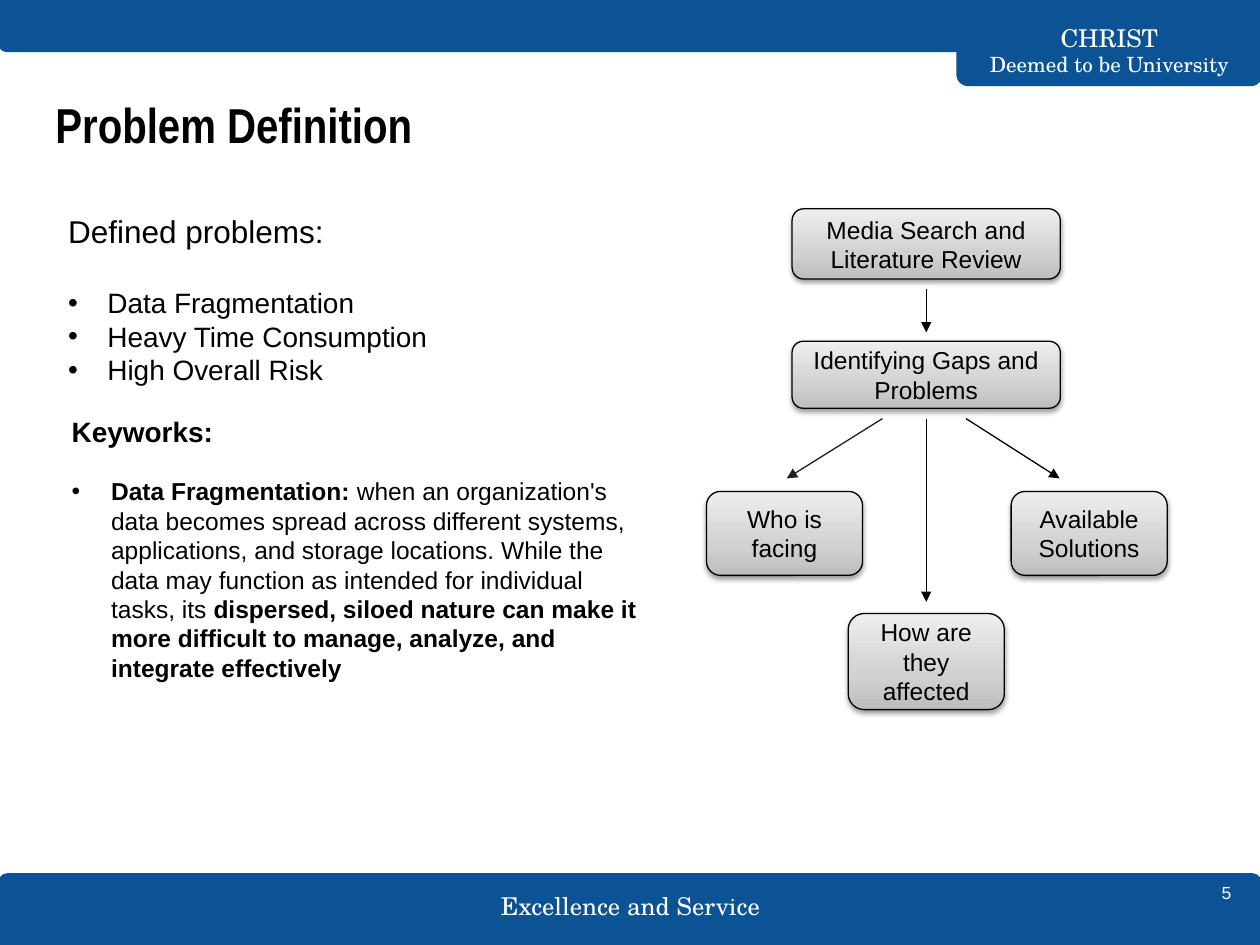
from lxml import etree
from pptx import Presentation
from pptx import util as u
from pptx.dml import color
from pptx.enum import shapes, text
from pptx.oxml import ns, parse_xml

Pt = u.Pt
COLORS = {"blue": "0B5394", "white": "FFFFFF", "black": "000000", "charcoal": "202020",
          "dark": "BDBDBD", "mid": "D1D1D1", "light": "EEEEEE"}
SANS, NARROW, SERIF = "Arial", "Arial Narrow", "TeX Gyre Schola"
BULLET_INDENT = 22.5

# Content: lengths in points, boxes as (left, top, width, height)
TITLE = "Problem Definition"
BARS = [((-0.5, 499.7, 721, 40.3), 0), ((547.2, 0, 173.5, 48.5), 180), ((0, 0, 720.5, 29), 180)]
LABELS = [
    ((263.5, 506, 193.7, 23), [("Excellence and Service", 14)], SERIF, "CENTER"),
    ((547.2, 19.5, 173.5, 18), [("CHRIST", 14), ("Deemed to be University", 12)], SERIF, "CENTER"),
    ((667.5, 489.6, 43.2, 41), [("5", 10)], SANS, "RIGHT"),
]
# Each paragraph: runs as (text, bold), size, bulleted, space before
PROBLEMS = [([("Defined problems:", False)], 18, False, 0)] + [
    ([(name, False)], 16, True, gap) for name, gap in
    [("Data Fragmentation", 20.7), ("Heavy Time Consumption", 0), ("High Overall Risk", 0)]]
KEYWORDS = [
    ([("Keyworks:", True)], 16, False, 0),
    ([("Data Fragmentation: ", True),
      ("when an organization's data becomes spread across different systems, applications, "
       "and storage locations. While the data may function as intended for individual tasks, "
       "its ", False),
      ("dispersed, siloed nature can make it more difficult to manage, analyze, and "
       "integrate effectively", True)], 14, True, 16.1),
]
LISTS = [((31.7, 117.4, 274.3, 108.7), PROBLEMS), ((33.8, 233.3, 342, 179.3), KEYWORDS)]
# Flowchart steps: text, centre x, top, width, height
AXIS = 529.3
STEPS = [
    ("Media Search and Literature Review", AXIS, 119.3, 153.3, 40.2),
    ("Identifying Gaps and Problems", AXIS, 195, 153.3, 38.3),
    ("Who is facing", 448.3, 280.8, 89.2, 48),
    ("How are they affected", AXIS, 350.6, 89.2, 54.9),
    ("Available Solutions", 622.4, 280.8, 89.2, 48),
]
ARROWS = [((AXIS, 165.3), (AXIS, 190), "black"), ((504.3, 239.2), (449.6, 273.4), "charcoal"),
          ((AXIS, 239.2), (AXIS, 344), "black"), ((552, 239.2), (605.5, 273.4), "black")]


def rgb(name):
    return color.RGBColor.from_string(COLORS[name])


def set_font(font, size, name=SANS, ink="black", bold=False):
    font.size, font.name, font.bold = Pt(size), name, bold
    font.color.rgb = rgb(ink)


def place(shape, box):
    shape.left, shape.top, shape.width, shape.height = map(Pt, box)


def set_bullet(para, bulleted):
    props = para._p.get_or_add_pPr()
    indent = Pt(BULLET_INDENT) if bulleted else 0
    props.set("marL", str(indent))
    props.set("indent", str(-indent))
    if bulleted:
        ink = etree.SubElement(props, ns.qn("a:buClr"))
        etree.SubElement(ink, ns.qn("a:srgbClr"), val=COLORS["black"])
        etree.SubElement(props, ns.qn("a:buFont"), typeface=SANS)
        etree.SubElement(props, ns.qn("a:buChar"), char="•")
    else:
        etree.SubElement(props, ns.qn("a:buNone"))


def shade(shape):
    """Give a step its grey gradient and soft shadow."""
    stops = "".join(f'<a:gs pos="{pos * 1000}"><a:srgbClr val="{COLORS[name]}"/></a:gs>'
                    for pos, name in [(0, "dark"), (35, "mid"), (100, "light")])
    props = shape._element.spPr
    props.find(ns.qn("a:prstGeom")).addnext(parse_xml(
        f'<a:gradFill {ns.nsdecls("a")} rotWithShape="1"><a:gsLst>{stops}</a:gsLst>'
        '<a:lin ang="16200000" scaled="0"/></a:gradFill>'))
    shape.shadow.inherit = False
    props.find(ns.qn("a:effectLst")).append(parse_xml(
        f'<a:outerShdw {ns.nsdecls("a")} blurRad="{Pt(3.1)}" dist="{Pt(1.6)}" dir="5400000" '
        f'rotWithShape="0"><a:srgbClr val="{COLORS["black"]}"><a:alpha val="38000"/>'
        '</a:srgbClr></a:outerShdw>'))


def add_bar(page, box, rotation):
    bar = page.shapes.add_shape(shapes.MSO_SHAPE.ROUND_2_SAME_RECTANGLE, *map(Pt, box))
    bar.adjustments[0], bar.adjustments[1] = 0.125, 0
    bar.rotation = rotation
    bar.shadow.inherit = False
    bar.fill.solid()
    bar.fill.fore_color.rgb = bar.line.color.rgb = rgb("blue")
    bar.line.width = Pt(1.5)


def add_label(page, box, lines, font_name, align):
    frame = page.shapes.add_textbox(*map(Pt, box)).text_frame
    frame.word_wrap = True
    frame.vertical_anchor = text.MSO_ANCHOR.MIDDLE
    frame.margin_left = frame.margin_right = frame.margin_top = frame.margin_bottom = Pt(7.2)
    for number, (line, size) in enumerate(lines):
        para = frame.add_paragraph() if number else frame.paragraphs[0]
        para.text = line
        para.alignment = text.PP_ALIGN[align]
        set_font(para.font, size, font_name, "white")


def fill_list(body, box, items):
    place(body, box)
    frame = body.text_frame
    frame.auto_size = text.MSO_AUTO_SIZE.NONE
    frame.vertical_anchor = text.MSO_ANCHOR.TOP
    for number, (spans, size, bulleted, gap) in enumerate(items):
        para = frame.add_paragraph() if number else frame.paragraphs[0]
        set_bullet(para, bulleted)
        para.space_before, para.line_spacing = Pt(gap), 1.0
        set_font(para.font, size, bold=spans[0][1])
        for words, bold in spans:
            span = para.add_run()
            span.text = words
            if len(spans) > 1:
                span.font.bold = bold


def add_step(page, words, center, top, width, height):
    step = page.shapes.add_shape(shapes.MSO_SHAPE.ROUNDED_RECTANGLE,
                                 *map(Pt, (center - width / 2, top, width, height)))
    shade(step)
    step.line.color.rgb = rgb("black")
    step.line.width = Pt(0.75)
    frame = step.text_frame
    frame.word_wrap = True
    frame.vertical_anchor = text.MSO_ANCHOR.MIDDLE
    para = frame.paragraphs[0]
    para.text = words
    para.alignment = text.PP_ALIGN.CENTER
    set_font(para.font, 14)


def add_arrow(page, start, end, ink):
    arrow = page.shapes.add_connector(shapes.MSO_CONNECTOR.STRAIGHT, *map(Pt, start + end))
    arrow.line.color.rgb = rgb(ink)
    arrow.line.width = Pt(0.75)
    etree.SubElement(arrow.line._get_or_add_ln(), ns.qn("a:tailEnd"), type="triangle")
    etree.SubElement(arrow._element.spPr, ns.qn("a:effectLst"))


def main():
    deck = Presentation()
    deck.slide_width, deck.slide_height = Pt(720), Pt(540)
    page = deck.slides.add_slide(deck.slide_layouts.get_by_name("Two Content"))

    # Header, footer and page number
    for bar in BARS:
        add_bar(page, *bar)
    for label in LABELS:
        add_label(page, *label)

    # Title
    title = page.shapes.title
    place(title, (24.5, 46.8, 671, 59.8))
    title.text = TITLE
    frame = title.text_frame
    frame.auto_size = text.MSO_AUTO_SIZE.NONE
    frame.vertical_anchor = text.MSO_ANCHOR.TOP
    frame.margin_left = frame.margin_right = frame.margin_top = frame.margin_bottom = Pt(7.2)
    frame.paragraphs[0].alignment = text.PP_ALIGN.LEFT
    set_font(frame.paragraphs[0].font, 28, NARROW, bold=True)

    # Lists on the left
    for number, (box, items) in enumerate(LISTS, start=1):
        fill_list(page.placeholders[number], box, items)

    # Flowchart on the right
    for step in STEPS:
        add_step(page, *step)
    for arrow in ARROWS:
        add_arrow(page, *arrow)

    deck.save("out.pptx")


if __name__ == "__main__":
    main()
